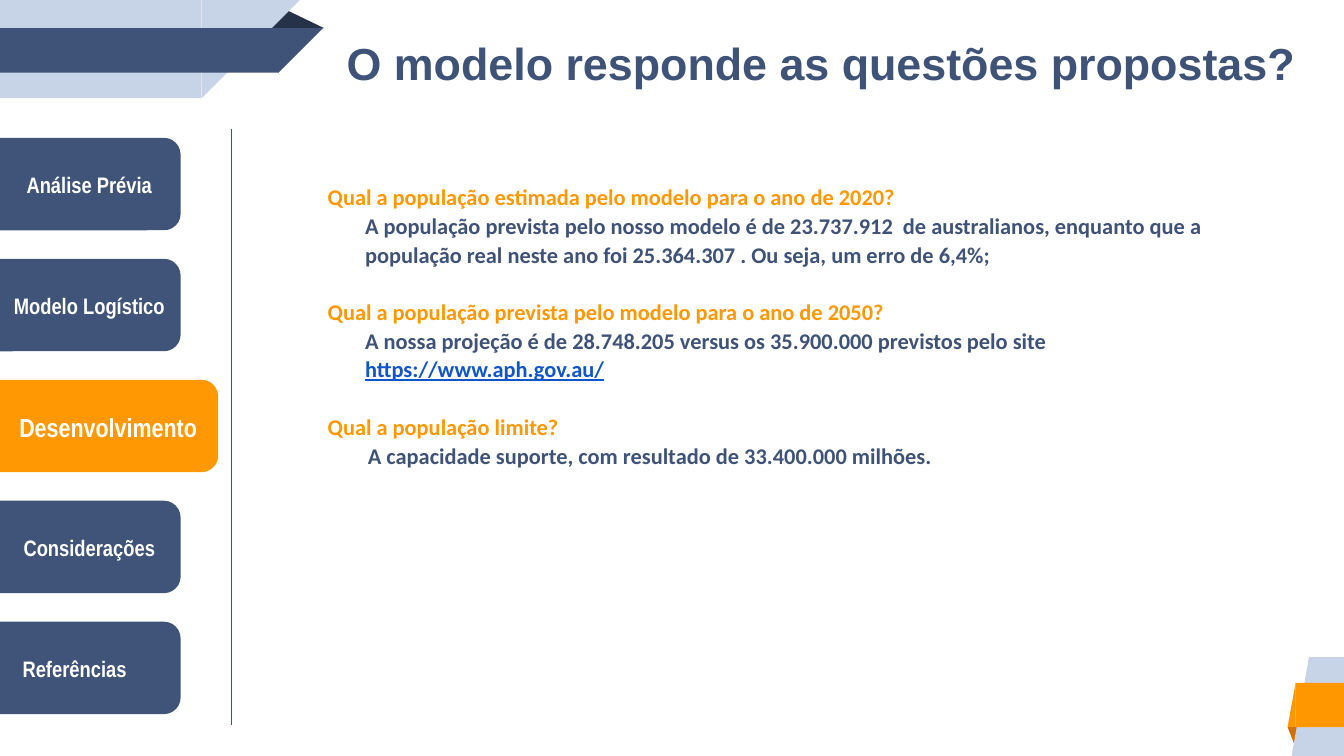
from lxml import etree
from pptx import Presentation
from pptx.dml.color import RGBColor
from pptx.enum.shapes import MSO_CONNECTOR, MSO_SHAPE
from pptx.enum.text import MSO_ANCHOR, PP_ALIGN
from pptx.oxml.ns import qn
from pptx.util import Pt

RECT = MSO_SHAPE.RECTANGLE
CORNER = MSO_SHAPE.RIGHT_TRIANGLE
FOLD = MSO_SHAPE.ISOSCELES_TRIANGLE
PILL = MSO_SHAPE.ROUNDED_RECTANGLE
STRAIGHT = MSO_CONNECTOR.STRAIGHT
MIDDLE = MSO_ANCHOR.MIDDLE
TOP = MSO_ANCHOR.TOP
CENTER = PP_ALIGN.CENTER

COLORS = {
    "navy": "3F5378",
    "menu": "3F5478",
    "dark": "263248",
    "pale": "C7D3E6",
    "orange": "FF9800",
    "accent": "FF9802",
    "brown": "D26F00",
    "link": "1155CC",
    "white": "FFFFFF",
}

TITLE = "O modelo responde as questões propostas?"

# name, left edge of the label
MENU = [
    ("Análise Prévia", 0),
    ("Modelo Logístico", 0),
    ("Desenvolvimento", 0),
    ("Considerações", 0),
    ("Referências", -7.92),
]
CURRENT = "Desenvolvimento"

# question, answer, address, answer indent
QUESTIONS = [
    ("Qual a população estimada pelo modelo para o ano de 2020?",
     "A população prevista pelo nosso modelo é de 23.737.912  de australianos, "
     "enquanto que a população real neste ano foi 25.364.307 . "
     "Ou seja, um erro de 6,4%;", "", 56),
    ("Qual a população prevista pelo modelo para o ano de 2050?",
     "A nossa projeção é de 28.748.205 versus os 35.900.000 previstos pelo site ",
     "https://www.aph.gov.au/", 56),
    ("Qual a população limite?",
     "A capacidade suporte, com resultado de 33.400.000 milhões.", "", 57.5),
]

# kind, left, top, width, height, colour, rotation, mirrored
RIBBONS = [
    (FOLD, 689.8, 389.5, 5.8, 10.1, "brown", 180, False),
    (RECT, 701.3, 352, 18.7, 53, "pale", 0, False),
    (CORNER, 692, 352, 9.3, 53, "pale", 0, True),
    (RECT, 694.1, 365.8, 25.9, 23.8, "orange", 0, False),
    (CORNER, 689.8, 365.8, 4.3, 23.8, "orange", 0, True),
    (FOLD, 142.6, 5, 31, 10.1, "dark", 0, False),
    (RECT, 0, 0, 108, 52.6, "pale", 0, False),
    (CORNER, 108, 0, 52.6, 52.6, "pale", 180, True),
    (RECT, 0, 15.1, 149.5, 23.8, "navy", 0, False),
    (CORNER, 149.3, 15.1, 23.8, 23.8, "navy", 180, True),
]

MENU_LEFT, MENU_TOP, MENU_STEP = -7.92, 74.9, 64.8
PILL_HEIGHT = 47.5
LINE_SPACING = 1.07
QUESTION_GAP = 15.4


def rgb(name):
    return RGBColor.from_string(COLORS[name])


def add_block(slide, kind, left, top, width, height, color):
    block = slide.shapes.add_shape(kind, Pt(left), Pt(top), Pt(width), Pt(height))
    block.shadow.inherit = False
    block.fill.solid()
    block.fill.fore_color.rgb = rgb(color)
    block.line.fill.background()
    return block


def add_ribbons(slide):
    for kind, left, top, width, height, color, rotation, mirrored in RIBBONS:
        block = add_block(slide, kind, left, top, width, height, color)
        block.rotation = rotation
        if kind == FOLD:
            block.adjustments[0] = 0.324
        if mirrored:
            block._element.spPr.find(qn("a:xfrm")).set("flipH", "1")


def add_box(slide, left, top, width, height, wrap=True, anchor=TOP):
    box = slide.shapes.add_textbox(Pt(left), Pt(top), Pt(width), Pt(height))
    box.text_frame.word_wrap = wrap
    box.text_frame.vertical_anchor = anchor
    return box.text_frame


def add_span(para, text, font, size, color, underline=False):
    span = para.add_run()
    span.text = text
    span.font.name = font
    span.font.size = Pt(size)
    span.font.bold = True
    span.font.color.rgb = rgb(color)
    if underline:
        span.font.underline = True


def add_menu(slide):
    for row, (name, label_left) in enumerate(MENU):
        current = name == CURRENT
        top = MENU_TOP + row * MENU_STEP
        color = "accent" if current else "menu"
        pill = add_block(slide, PILL, MENU_LEFT, top,
                         123.8 if current else 103.7, PILL_HEIGHT, color)
        pill.line.color.rgb = rgb(color)
        pill.line.width = Pt(2)

        height = 24.5 if current else 21.6
        frame = add_box(slide, label_left, top + (PILL_HEIGHT - height) / 2 + 0.4,
                        116 if current else 95.8, height, anchor=MIDDLE)
        para = frame.paragraphs[0]
        para.alignment = CENTER
        add_span(para, name, "Arial Narrow", 14 if current else 12, "white")


def add_divider(slide):
    divider = slide.shapes.add_connector(STRAIGHT, Pt(123.9), Pt(69), Pt(123.9), Pt(388.5))
    divider.line.color.rgb = rgb("menu")
    divider.line.width = Pt(0.75)
    etree.SubElement(divider._element.spPr, qn("a:effectLst"))


def indent(para, amount):
    properties = para._p.get_or_add_pPr()
    properties.set("marL", str(Pt(amount)))
    properties.set("indent", "0")
    para.line_spacing = LINE_SPACING


def add_questions(slide):
    frame = add_box(slide, 132.5, 93.6, 565.2, 193)
    for number, (question, answer, address, answer_indent) in enumerate(QUESTIONS):
        para = frame.add_paragraph() if number else frame.paragraphs[0]
        indent(para, 36)
        if number:
            para.space_before = Pt(QUESTION_GAP)
        add_span(para, question, "Calibri", 12, "accent")

        para = frame.add_paragraph()
        indent(para, answer_indent)
        add_span(para, answer, "Calibri", 12, "navy")
        if address:
            add_span(para, address, "Calibri", 12, "link", underline=True)


def main():
    deck = Presentation()
    deck.slide_width, deck.slide_height = Pt(720), Pt(405)
    slide = deck.slides.add_slide(deck.slide_layouts[6])
    add_ribbons(slide)
    add_menu(slide)
    add_divider(slide)
    title = add_box(slide, 178.6, 15.8, 527, 36, wrap=False)
    add_span(title.paragraphs[0], TITLE, "Arial", 24, "navy")
    add_questions(slide)
    deck.save("out.pptx")


if __name__ == "__main__":
    main()
